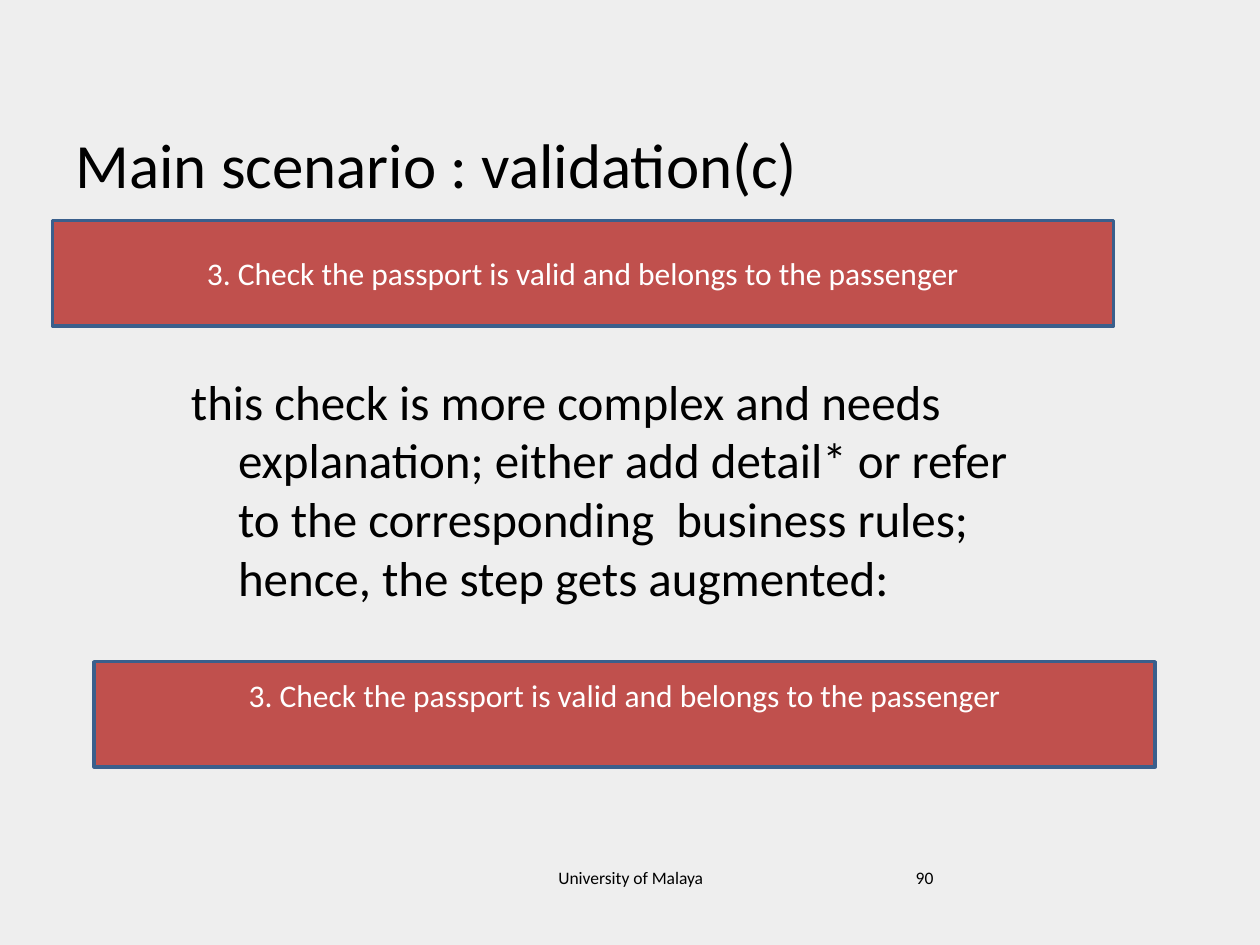
from pptx import Presentation
from pptx.dml.color import RGBColor
from pptx.enum.shapes import MSO_SHAPE
from pptx.enum.text import MSO_ANCHOR, PP_ALIGN
from pptx.util import Cm, Pt

RECT = MSO_SHAPE.RECTANGLE
TOP, MIDDLE, BOTTOM = MSO_ANCHOR.TOP, MSO_ANCHOR.MIDDLE, MSO_ANCHOR.BOTTOM
LEFT, CENTER = PP_ALIGN.LEFT, PP_ALIGN.CENTER
FONT = "Calibri"
BLACK, WHITE, RED, BLUE, GREY = "000000", "FFFFFF", "C0504D", "3A5F8C", "EEEEEE"
STEP = "3. Check the passport is valid and belongs to the passenger"
EXPLANATION = (
    "this check is more complex and needs explanation; either add detail* "
    "or refer to the corresponding  business rules; hence, the step gets augmented:"
)


def rgb(value):
    return RGBColor.from_string(value)


def set_text(shape, text, size, color=BLACK, align=LEFT, anchor=TOP):
    tf = shape.text_frame
    tf.text = text
    tf.word_wrap = True
    tf.vertical_anchor = anchor
    p = tf.paragraphs[0]
    p.alignment = align
    font = p.runs[0].font
    font.name = FONT
    font.size = Pt(size)
    font.color.rgb = rgb(color)
    return tf


def add_text(s, box, text, size, align=LEFT, anchor=TOP):
    shape = s.shapes.add_textbox(*map(Cm, box))
    return set_text(shape, text, size, align=align, anchor=anchor)


def add_explanation(s):
    tf = add_text(s, (3.6, 6.15, 17.58, 6.55), EXPLANATION, 28)
    tf.margin_top = Cm(1.33)
    pPr = tf.paragraphs[0]._p.get_or_add_pPr()
    pPr.set("marL", str(Cm(0.95)))
    pPr.set("indent", str(Cm(-0.95)))


def add_step(s, left, top):
    bar = s.shapes.add_shape(RECT, Cm(left), Cm(top), Cm(21.39), Cm(2.12))
    bar.shadow.inherit = False
    bar.fill.solid()
    bar.fill.fore_color.rgb = rgb(RED)
    bar.line.color.rgb = rgb(BLUE)
    bar.line.width = Pt(2)
    return set_text(bar, STEP, 18, WHITE, CENTER, MIDDLE)


def main():
    prs = Presentation()
    prs.slide_width, prs.slide_height = Cm(25.4), Cm(19.05)
    s = prs.slides.add_slide(prs.slide_layouts[6])
    s.background.fill.solid()
    s.background.fill.fore_color.rgb = rgb(GREY)

    add_explanation(s)
    add_text(s, (1.27, 0.99, 22.86, 3.18), "Main scenario : validation(c)", 36, anchor=BOTTOM)
    add_text(s, (18.21, 17.35, 5.92, 1.32), "90", 10)
    add_text(s, (8.69, 17.35, 8.05, 1.32), "University of Malaya", 10, CENTER)
    add_step(s, 1.06, 4.45)
    augmented = add_step(s, 1.9, 13.34)
    augmented.margin_bottom = Cm(0.9)

    prs.save("out.pptx")


if __name__ == "__main__":
    main()
